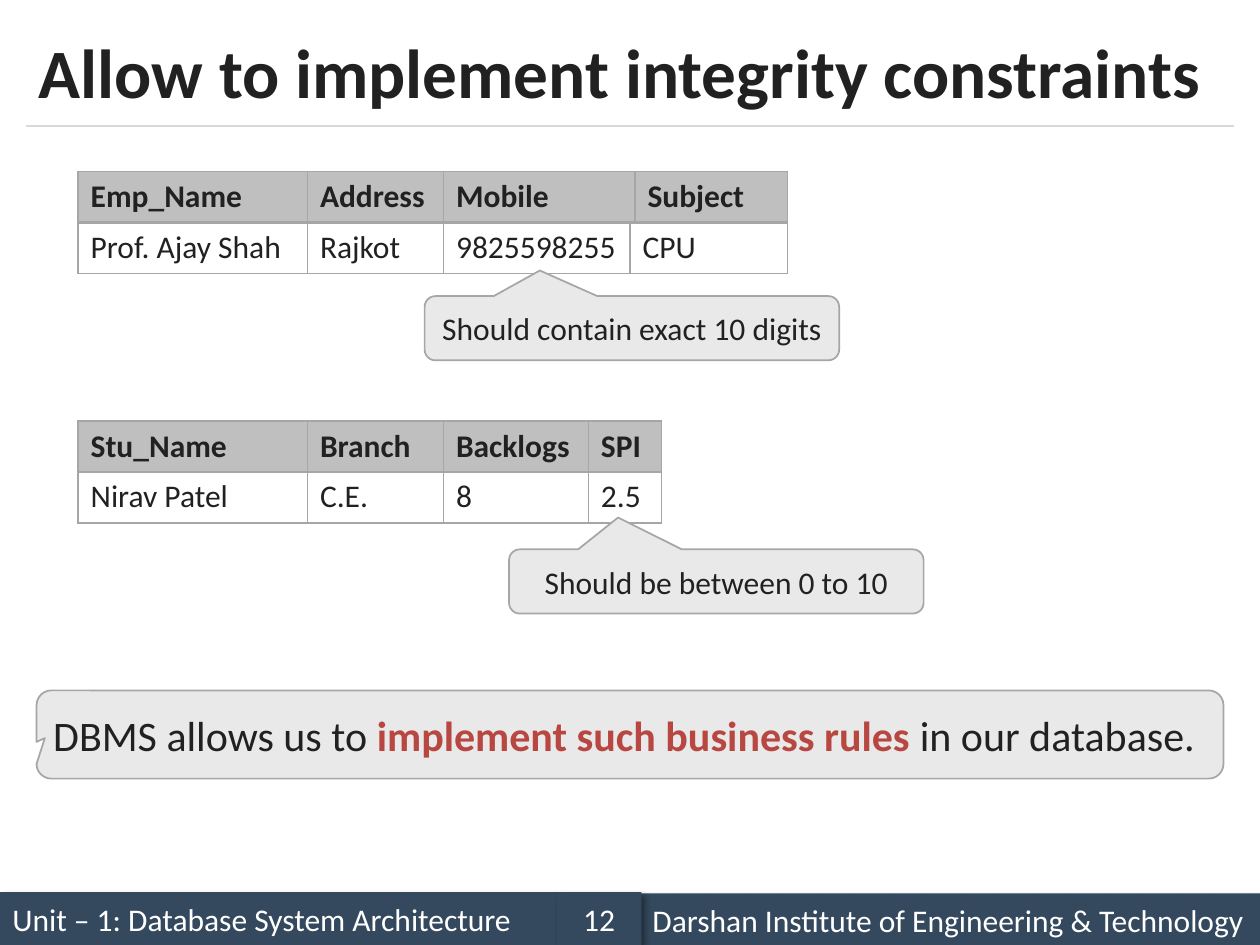
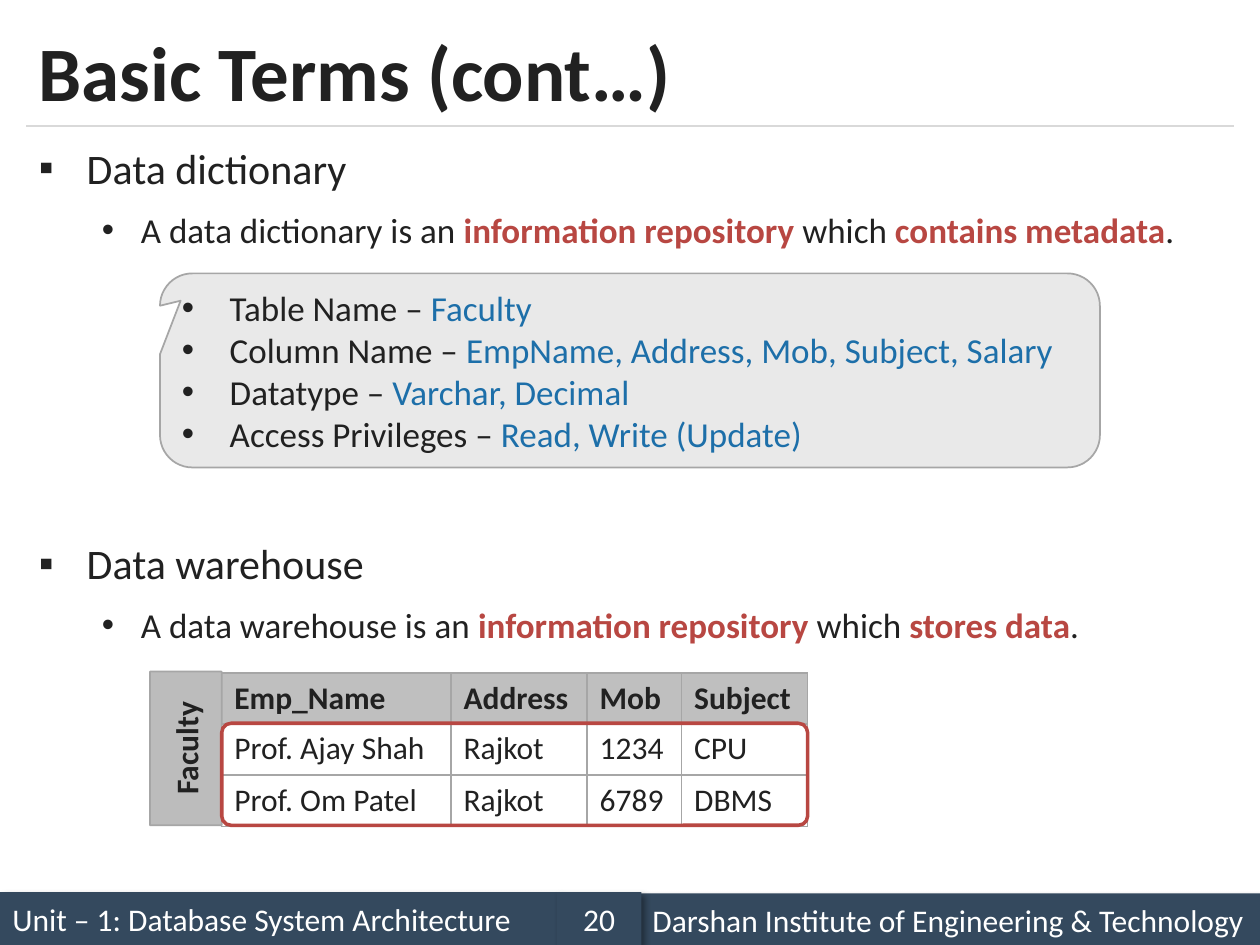
from dataclasses import dataclass
from typing import NamedTuple

from lxml.etree import SubElement
from pptx import Presentation
from pptx.dml.color import RGBColor
from pptx.enum.shapes import MSO_CONNECTOR, MSO_SHAPE
from pptx.enum.text import MSO_ANCHOR, PP_ALIGN
from pptx.oxml.ns import qn
from pptx.util import Emu, Inches, Pt

FONT = "Calibri"
HEX = {
    "ink": "212121", "red": "B84742", "blue": "1D6FA9", "white": "FFFFFF",
    "band": "34495E", "rule": "D9D9D9", "edge": "A6A6A6",
    "head": "BFBFBF", "side": "BCBCBC", "note": "E9E9E9", "shade": "000000",
}


class Box(NamedTuple):
    left: float
    top: float
    width: float
    height: float

    def lengths(self) -> list:
        return [Inches(v) for v in self]


class Bit(NamedTuple):
    text: str
    tone: str = "ink"
    bold: bool = False


@dataclass
class Para:
    bits: list
    size: float = 18
    mark: str = ""
    left: float = 0
    hang: float = 0
    before: float = 0
    after: float = 0
    align: PP_ALIGN = PP_ALIGN.LEFT


@dataclass
class Row:
    top: float
    cells: list
    widths: list
    head: bool = False


@dataclass
class Note:
    box: Box
    tip: tuple
    paras: list


def tint(name: str) -> RGBColor:
    return RGBColor.from_string(HEX[name])


def write(frame, paras: list) -> None:
    frame.word_wrap = True
    for num, para in enumerate(paras):
        line = frame.paragraphs[0] if num == 0 else frame.add_paragraph()
        line.alignment = para.align
        line.space_before = Pt(para.before)
        line.space_after = Pt(para.after)
        if para.mark:
            props = line._p.get_or_add_pPr()
            props.set("marL", str(Inches(para.left)))
            props.set("indent", str(-Inches(para.hang)))
            SubElement(props, qn("a:buFont"), typeface="Arial")
            SubElement(props, qn("a:buChar"), char=para.mark)
        font = line.font
        font.name, font.size = FONT, Pt(para.size)
        first = para.bits[0]
        same = all(bit[1:] == first[1:] for bit in para.bits)
        if same:
            font.bold, font.color.rgb = first.bold, tint(first.tone)
        for bit in para.bits:
            run = line.add_run()
            run.text = bit.text
            if not same:
                run.font.bold = bit.bold
                run.font.color.rgb = tint(bit.tone)


def add_text(slide, box: Box, paras: list, anchor=MSO_ANCHOR.TOP) -> None:
    frame = slide.shapes.add_textbox(*box.lengths()).text_frame
    frame.vertical_anchor = anchor
    write(frame, paras)


def add_box(slide, kind, box: Box, fill: str = "", edge: str = "",
            weight: float = 1, bends: tuple = (), paras: list = ()):
    shape = slide.shapes.add_shape(kind, *box.lengths())
    shape.shadow.inherit = False
    for num, bend in enumerate(bends):
        shape.adjustments[num] = bend
    if fill:
        shape.fill.solid()
        shape.fill.fore_color.rgb = tint(fill)
    else:
        shape.fill.background()
    if edge:
        shape.line.color.rgb = tint(edge)
        shape.line.width = Pt(weight)
    else:
        shape.line.fill.background()
    if paras:
        shape.text_frame.vertical_anchor = MSO_ANCHOR.MIDDLE
        write(shape.text_frame, paras)
    return shape


def add_band(slide, box: Box, text: str, align=PP_ALIGN.LEFT) -> None:
    """Draw one footer part with its soft shadow."""
    para = Para([Bit(text, "white")], align=align)
    shape = add_box(slide, MSO_SHAPE.RECTANGLE, box, "band", paras=[para])
    effect = shape._element.spPr.find(qn("a:effectLst"))
    cast = SubElement(effect, qn("a:outerShdw"), blurRad=str(Pt(4)),
                      dist=str(Pt(3)), dir=str(45 * 60000), rotWithShape="0")
    shade = SubElement(cast, qn("a:srgbClr"), val=HEX["shade"])
    SubElement(shade, qn("a:alpha"), val="40000")


def add_rule(slide) -> None:
    rule = slide.shapes.add_connector(
        MSO_CONNECTOR.STRAIGHT, Inches(0.21), Inches(1), Inches(9.79), Inches(1))
    rule.line.color.rgb = tint("rule")
    rule.line.width = Pt(0.75)
    SubElement(rule._element.spPr, qn("a:effectLst"))


def add_page(deck, title: str, size: float, page: int):
    slide = deck.slides.add_slide(deck.slide_layouts[6])
    add_band(slide, Box(0, 7.08, 4.42, 0.42),
             "Unit – 1: Database System Architecture")
    add_rule(slide)
    add_band(slide, Box(5.08, 7.09, 4.92, 0.42),
             "Darshan Institute of Engineering & Technology")
    add_band(slide, Box(4.42, 7.08, 0.67, 0.42), str(page), PP_ALIGN.CENTER)
    add_text(slide, Box(0.21, 0.12, 9.58, 0.88),
             [Para([Bit(title, bold=True)], size)], MSO_ANCHOR.MIDDLE)
    return slide


def add_edges(cell) -> None:
    props = cell._tc.get_or_add_tcPr()
    for num, side in enumerate(("lnL", "lnR", "lnT", "lnB")):
        line = SubElement(props, qn(f"a:{side}"), w=str(Pt(1)))
        fill = SubElement(line, qn("a:solidFill"))
        SubElement(fill, qn("a:srgbClr"), val=HEX["edge"])
        props.insert(num, line)


def add_row(slide, left: float, row: Row) -> None:
    """Draw a table of one row, since rows may differ in column widths."""
    box = Box(left, row.top, sum(row.widths), 0.41)
    table = slide.shapes.add_table(1, len(row.cells), *box.lengths()).table
    table.first_row = table.horz_banding = False
    for num, (text, width) in enumerate(zip(row.cells, row.widths)):
        table.columns[num].width = Inches(width)
        cell = table.cell(0, num)
        if row.head:
            cell.fill.solid()
            cell.fill.fore_color.rgb = tint("head")
        else:
            cell.fill.background()
        add_edges(cell)
        write(cell.text_frame, [Para([Bit(text, bold=row.head)])])


def add_note(slide, note: Note) -> None:
    add_box(slide, MSO_SHAPE.ROUNDED_RECTANGULAR_CALLOUT, note.box, "note",
            "edge", bends=(*note.tip, 0.167), paras=note.paras)


def topic(text: str, before: float = 0) -> Para:
    return Para([Bit(text)], 24, "▪", 0.38, 0.38, before)


def point(bits: list, after: float = 0) -> Para:
    return Para(bits, 20, "•", 0.81, 0.31, 9, after)


def fact(label: str, value: str) -> Para:
    return Para([Bit(f"{label} – "), Bit(value, "blue")], 20, "•", 0.38, 0.38)


def rules_page(deck) -> None:
    slide = add_page(deck, "Allow to implement integrity constraints", 39.6, 12)
    marks = [1.82, 1.08, 1.15, 0.58]
    rows = [
        Row(1.36, ["Emp_Name", "Address", "Mobile", "Subject"],
            [1.82, 1.08, 1.52, 1.21], True),
        Row(1.76, ["Prof. Ajay Shah", "Rajkot", "9825598255", "CPU"],
            [1.82, 1.08, 1.48, 1.25]),
        Row(3.34, ["Stu_Name", "Branch", "Backlogs", "SPI"], marks, True),
        Row(3.74, ["Nirav Patel", "C.E.", "8", "2.5"], marks),
    ]
    for row in rows:
        add_row(slide, 0.62, row)
    mid = PP_ALIGN.CENTER
    notes = [
        Note(Box(3.37, 2.35, 3.29, 0.51), (-0.222, -0.899),
             [Para([Bit("Should contain exact 10 digits")], align=mid)]),
        Note(Box(4.04, 4.36, 3.29, 0.51), (-0.237, -0.995),
             [Para([Bit("Should be between 0 to 10")], align=mid)]),
        Note(Box(0.29, 5.48, 9.42, 0.7), (-0.493, 0.041),
             [Para([Bit("DBMS allows us to "),
                    Bit("implement such business rules ", "red", True),
                    Bit("in our database.")], 24)]),
    ]
    for note in notes:
        add_note(slide, note)


def terms_page(deck) -> None:
    slide = add_page(deck, "Basic Terms (cont…)", 44, 20)
    add_text(slide, Box(0.21, 1.08, 9.58, 5.83), [
        topic("Data dictionary"),
        point([Bit("A data dictionary is an "),
               Bit("information repository ", "red", True), Bit("which "),
               Bit("contains metadata", "red", True), Bit(".")], 6),
        topic("Data warehouse", 158),
        point([Bit("A data warehouse is an "),
               Bit("information repository", "red", True), Bit(" which "),
               Bit("stores data", "red", True), Bit(".")]),
    ])
    rows = [
        (5.34, ["Emp_Name", "Address", "Mob", "Subject"]),
        (5.74, ["Prof. Ajay Shah", "Rajkot", "1234", "CPU"]),
        (6.15, ["Prof. Om Patel", "Rajkot", "6789", "DBMS"]),
    ]
    for num, (top, cells) in enumerate(rows):
        add_row(slide, 1.76, Row(top, cells, [1.82, 1.08, 0.75, 1], num == 0))
    label = Para([Bit("Faculty", bold=True)], align=PP_ALIGN.CENTER)
    side = add_box(slide, MSO_SHAPE.ROUNDED_RECTANGLE, Box(1.19, 5.33, 0.57, 1.22),
                   "side", "edge", bends=(0.01,), paras=[label])
    side.text_frame._txBody.bodyPr.set("vert", "vert270")
    add_note(slide, Note(Box(1.27, 2.17, 7.46, 1.54), (-0.478, -0.359), [
        fact("Table Name", "Faculty"),
        fact("Column Name", "EmpName, Address, Mob, Subject, Salary"),
        fact("Datatype", "Varchar, Decimal"),
        fact("Access Privileges", "Read, Write (Update)"),
    ]))
    add_box(slide, MSO_SHAPE.ROUNDED_RECTANGLE, Box(1.76, 5.74, 4.65, 0.81),
            edge="red", weight=2, bends=(0.09,))


def main() -> None:
    deck = Presentation()
    deck.slide_width, deck.slide_height = Inches(10), Inches(7.5)
    rules_page(deck)
    terms_page(deck)
    deck.save("out.pptx")


if __name__ == "__main__":
    main()
